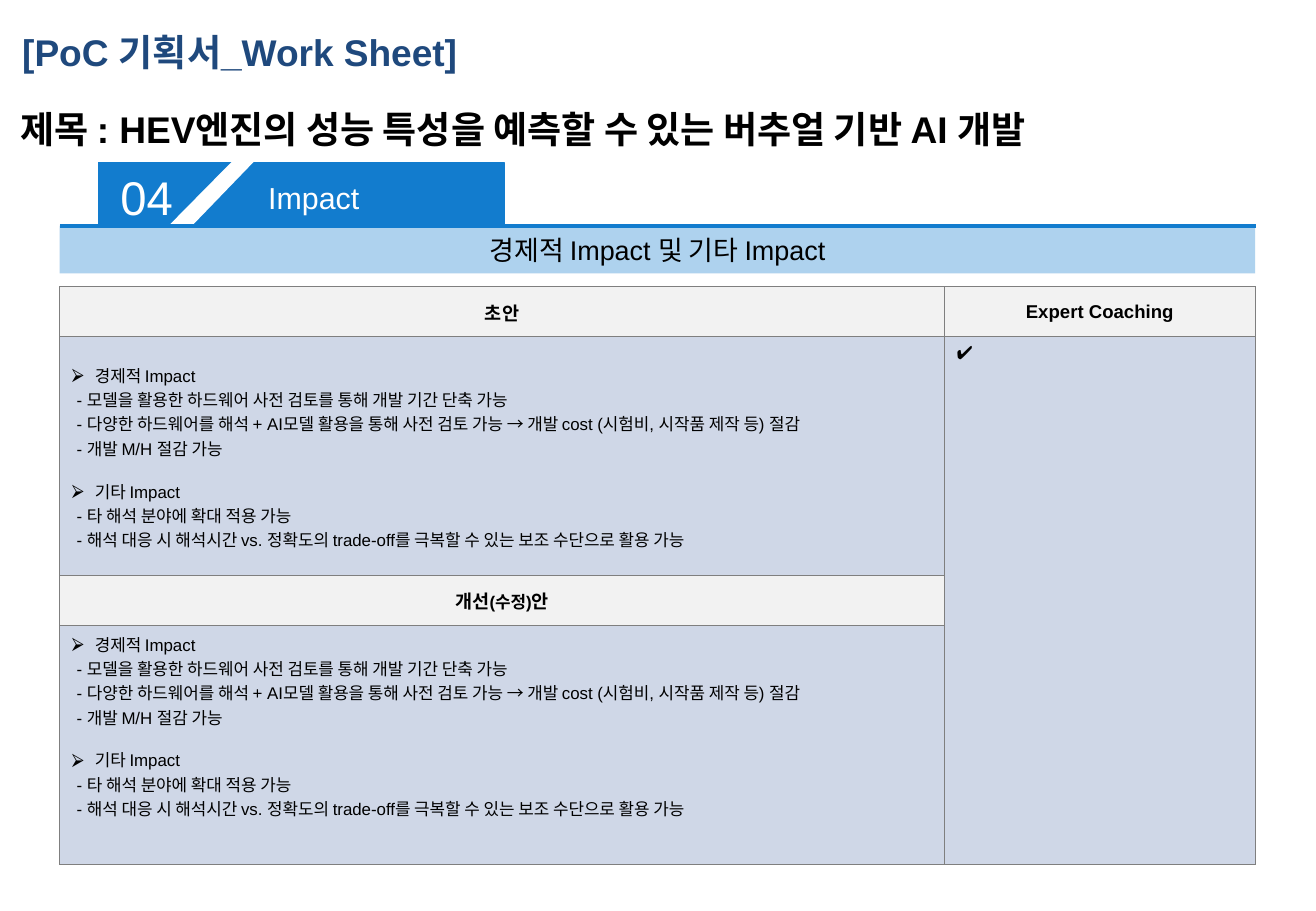
from dataclasses import dataclass

from lxml.etree import SubElement
from pptx import Presentation
from pptx.dml.color import RGBColor
from pptx.enum.shapes import MSO_CONNECTOR, MSO_SHAPE
from pptx.enum.text import MSO_ANCHOR, PP_ALIGN
from pptx.oxml.ns import qn
from pptx.util import Cm, Pt

FONT = "Arial"
BLUE, NAVY, BLACK, WHITE = "127CCE", "1F497D", "000000", "FFFFFF"
HEADER_FILL, BODY_FILL, BORDER = "F2F2F2", "CFD7E7", "7F7F7F"


@dataclass(frozen=True)
class Label:
    text: str
    left: float
    top: float
    width: float
    height: float
    size: float


@dataclass(frozen=True)
class Topic:
    heading: str
    points: tuple[str, ...]


SECTION_LABELS = (
    Label("Impact", 5.36, 3.63, 2.54, 1.02, 18),
    Label("04", 2.27, 3.4, 1.7, 1.45, 28),
)
TOPICS = (
    Topic("경제적 Impact", (
        "모델을 활용한 하드웨어 사전 검토를 통해 개발 기간 단축 가능",
        "다양한 하드웨어를 해석 + AI모델 활용을 통해 사전 검토 가능 → "
        "개발 cost (시험비, 시작품 제작 등) 절감",
        "개발 M/H 절감 가능",
    )),
    Topic("기타 Impact", (
        "타 해석 분야에 확대 적용 가능",
        "해석 대응 시 해석시간 vs. 정확도의 trade-off를 극복할 수 있는 보조 수단으로 활용 가능",
    )),
)


def rgb(color: str) -> RGBColor:
    return RGBColor.from_string(color)


def style(paragraph, size: float, color: str = BLACK, bold: bool = False) -> None:
    font = paragraph.font
    font.name, font.size, font.bold = FONT, Pt(size), bold
    font.color.rgb = rgb(color)


def paint(shape, color: str) -> None:
    shape.shadow.inherit = False
    shape.fill.solid()
    shape.fill.fore_color.rgb = rgb(color)
    shape.line.fill.background()


def add_bar(left: float, top: float, width: float, height: float):
    bar = slide.shapes.add_shape(
        MSO_SHAPE.RECTANGLE, Cm(left), Cm(top), Cm(width), Cm(height))
    paint(bar, BLUE)
    return bar


def add_label(label: Label) -> None:
    box = slide.shapes.add_textbox(
        Cm(label.left), Cm(label.top), Cm(label.width), Cm(label.height))
    box.text_frame.word_wrap = True
    box.text_frame.text = label.text
    style(box.text_frame.paragraphs[0], label.size, WHITE)


def add_arrow_bullet(paragraph) -> None:
    props = paragraph._p.get_or_add_pPr()
    props.set("marL", str(Cm(0.48)))
    props.set("indent", str(Cm(-0.48)))
    bullet_color = SubElement(props, qn("a:buClr"))
    SubElement(bullet_color, qn("a:srgbClr"), val=BLACK)
    SubElement(props, qn("a:buFont"), typeface=FONT)
    SubElement(props, qn("a:buChar"), char="⮚")


def format_cell(cell, color: str) -> None:
    props = cell._tc.get_or_add_tcPr()
    for side in ("a:lnL", "a:lnR", "a:lnT", "a:lnB"):
        edge = SubElement(props, qn(side), w=str(Pt(0.75)))
        edge_fill = SubElement(edge, qn("a:solidFill"))
        SubElement(edge_fill, qn("a:srgbClr"), val=BORDER)
    cell.fill.solid()
    cell.fill.fore_color.rgb = rgb(color)


def write_header(cell, *parts: tuple[str, float]) -> None:
    cell.vertical_anchor = MSO_ANCHOR.MIDDLE
    paragraph = cell.text_frame.paragraphs[0]
    paragraph.alignment = PP_ALIGN.CENTER
    style(paragraph, 11, bold=True)
    for text, size in parts:
        run = paragraph.add_run()
        run.text = text
        run.font.size = Pt(size)


def write_topics(cell, top_margin: float) -> None:
    cell.margin_top = Cm(top_margin)
    frame = cell.text_frame
    for number, topic in enumerate(TOPICS):
        heading = frame.add_paragraph() if number else frame.paragraphs[0]
        heading.text = topic.heading
        if number:
            heading.space_before = Pt(11)
        style(heading, 10)
        add_arrow_bullet(heading)
        for point in topic.points:
            line = frame.add_paragraph()
            line.text = f" - {point}"
            style(line, 10)


prs = Presentation()
prs.slide_width, prs.slide_height = Cm(27.52), Cm(19.05)
slide = prs.slides.add_slide(prs.slide_layouts[6])

# Worksheet name and project title
title_frame = slide.shapes.add_textbox(0, Cm(0.03), Cm(27.52), Cm(3.1)).text_frame
title_frame.word_wrap = True
title_frame.text = (" [PoC 기획서_Work Sheet]\n"
                    " 제목 : HEV엔진의 성능 특성을 예측할 수 있는 버추얼 기반 AI 개발")
for title_line, title_color in zip(title_frame.paragraphs, (NAVY, BLACK)):
    style(title_line, 22, title_color, bold=True)
    title_line.line_spacing = 1.5
title_frame.paragraphs[1].space_before = Pt(6)

# Section tab with its slanted stripe
section_tab = add_bar(2.06, 3.4, 8.48, 1.32)
section_tab.line.color.rgb = rgb(BLUE)
section_tab.line.width = Pt(1)
for section_label in SECTION_LABELS:
    add_label(section_label)
stripe = slide.shapes.build_freeform(Cm(3.45), Cm(4.8))
stripe.add_line_segments(
    [(Cm(x), Cm(y)) for x, y in ((4.9, 3.33), (5.36, 3.33), (3.96, 4.78))])
paint(stripe.convert_to_shape(), WHITE)

# Rule and subject band
rule = slide.shapes.add_connector(
    MSO_CONNECTOR.STRAIGHT, Cm(1.25), Cm(4.72), Cm(26.26), Cm(4.72))
rule.line.color.rgb = rgb(BLUE)
rule.line.width = Pt(2.5)
SubElement(rule._element.spPr, qn("a:effectLst"))

subject_band = add_bar(1.25, 4.72, 25, 1)
band_color = subject_band._element.spPr.find(qn("a:solidFill"))[0]
SubElement(band_color, qn("a:alpha"), val="34000")
subject_band.text_frame.text = "경제적 Impact 및 기타 Impact"
subject_band.text_frame.vertical_anchor = MSO_ANCHOR.MIDDLE
subject = subject_band.text_frame.paragraphs[0]
subject.alignment = PP_ALIGN.CENTER
style(subject, 16)

# Draft, revision and coaching table
plan = slide.shapes.add_table(4, 2, Cm(1.25), Cm(6), Cm(25), Cm(12.08)).table
plan.first_row = plan.horz_banding = False
for column, width in zip(plan.columns, (18.5, 6.5)):
    column.width = Cm(width)
for index, row in enumerate(plan.rows):
    is_header = index % 2 == 0
    row.height = Cm(1.04 if is_header else 5)
    for position, cell in enumerate(row.cells):
        header_cell = is_header and (position == 0 or index == 0)
        format_cell(cell, HEADER_FILL if header_cell else BODY_FILL)
plan.cell(1, 1).merge(plan.cell(3, 1))

write_header(plan.cell(0, 0), ("초안", 11))
write_header(plan.cell(0, 1), ("Expert Coaching", 11))
write_header(plan.cell(2, 0), ("개선", 11), ("(수정)", 10), ("안", 11))
write_topics(plan.cell(1, 0), 0.55)
write_topics(plan.cell(3, 0), 0.13)
coaching = plan.cell(1, 1).text_frame
coaching.text = "✔"
style(coaching.paragraphs[0], 11)

prs.save("out.pptx")
